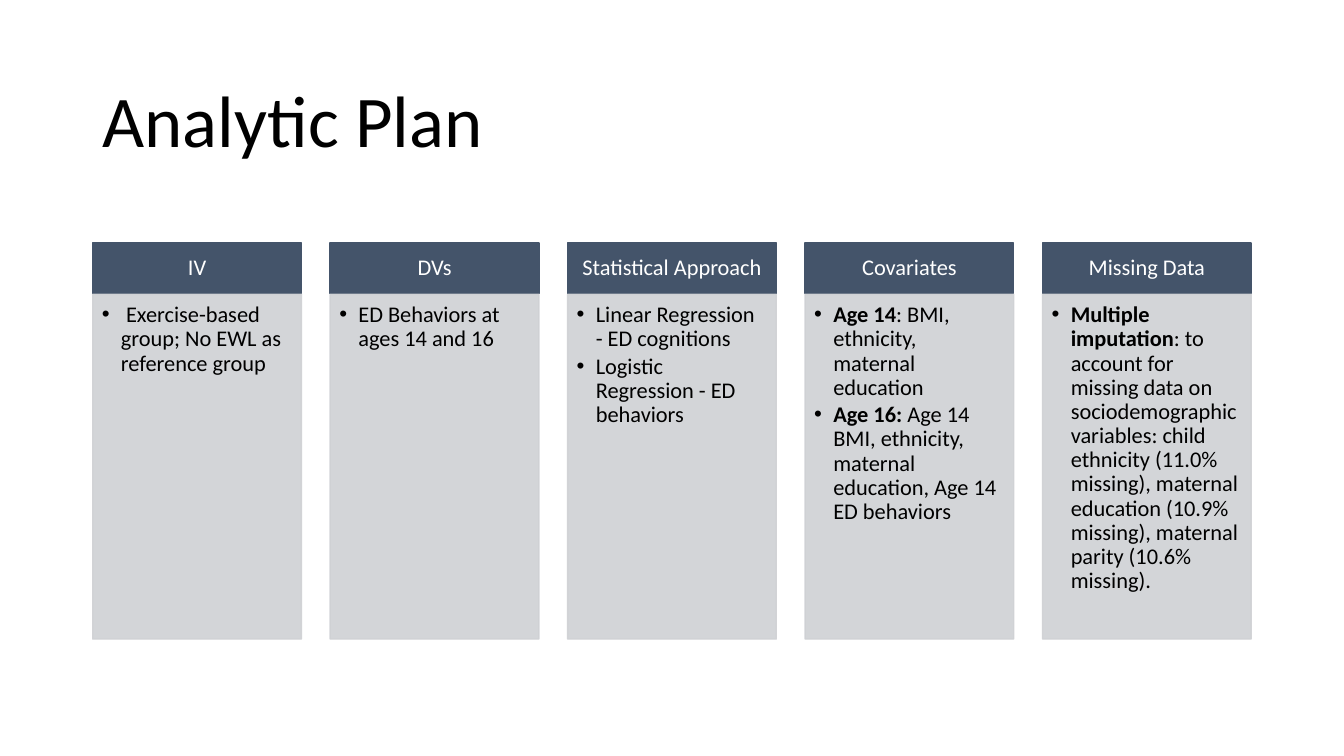
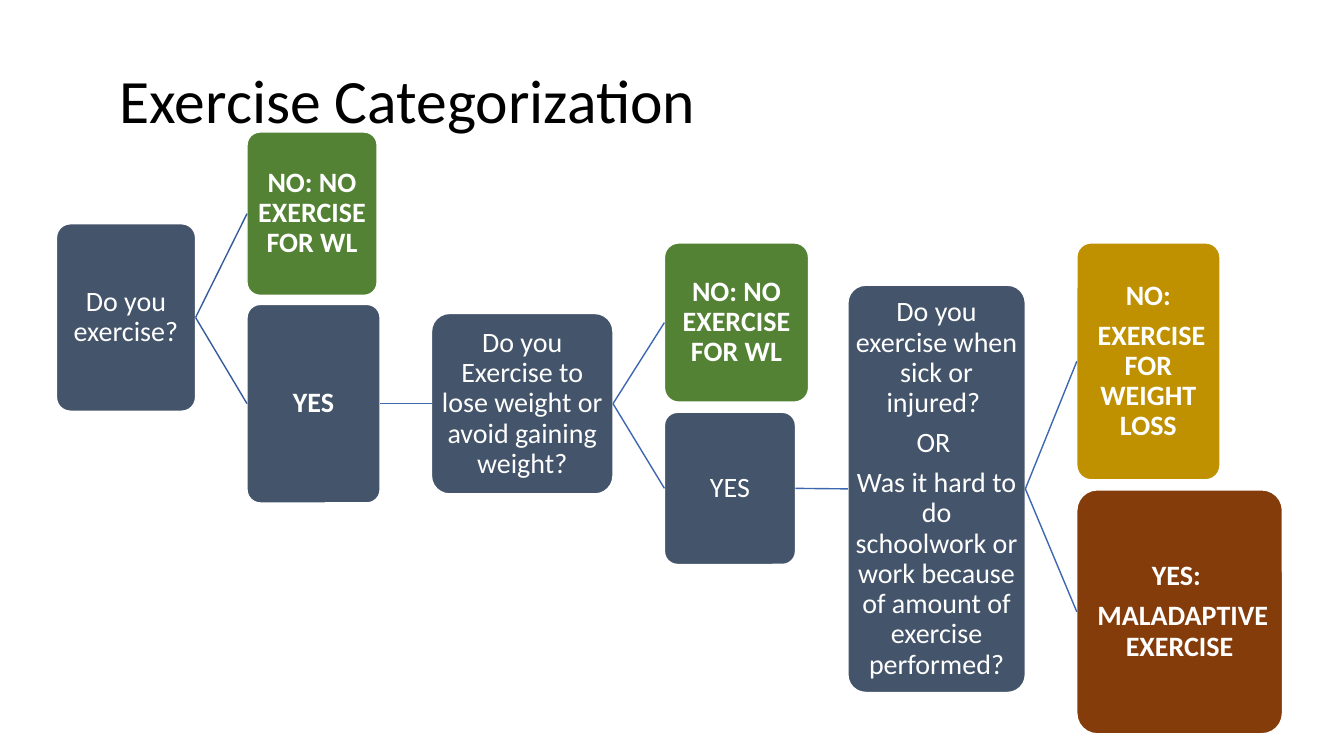
from dataclasses import dataclass
from lxml.etree import SubElement as Sub
from pptx import Presentation
from pptx.dml.color import RGBColor as RGB
from pptx.enum.shapes import MSO_CONNECTOR as Link, MSO_SHAPE as Shape
from pptx.enum.text import MSO_ANCHOR as Anchor, PP_ALIGN as Align
from pptx.oxml.ns import qn
from pptx.util import Inches, Pt


@dataclass(frozen=True)
class Theme:
    font: str = "Calibri"
    ink: str = "000000"
    white: str = "FFFFFF"
    slate: str = "44546A"
    pale: str = "CFD1D4"
    green: str = "548235"
    gold: str = "BF9000"
    rust: str = "843C0B"
    deep: str = "365B9D"
    blue: str = "3E67B2"
    wide: float = 52
    head: float = 44
    node: float = 20
    plan: float = 16
    lead: float = 0.9
    edge: float = 1


T = Theme()

PLAN = [
    ("IV", [[(" Exercise-based group; No EWL as reference group", False)]]),
    ("DVs", [[("ED Behaviors at ages 14 and 16", False)]]),
    ("Statistical Approach", [
        [("Linear Regression - ED cognitions", False)],
        [("Logistic Regression - ED behaviors", False)],
    ]),
    ("Covariates", [
        [("Age 14", True), (": BMI, ethnicity, maternal education", False)],
        [("Age 16: ", True),
         ("Age 14 BMI, ethnicity, maternal education, Age 14 ED behaviors", False)],
    ]),
    ("Missing Data", [
        [("Multiple imputation", True),
         (": to account for missing data on sociodemographic variables: "
          "child ethnicity (11.0% missing), maternal education (10.9% missing), "
          "maternal parity (10.6% missing).", False)],
    ]),
]

NODES = {
    "start": ((0.56, 2.22, 1.38, 1.86), T.slate, False, ["Do you exercise?"]),
    "none": ((2.45, 1.31, 1.29, 1.62), T.green, True, ["NO: NO EXERCISE FOR WL"]),
    "some": ((2.45, 3.02, 1.32, 1.97), T.slate, True, ["YES"]),
    "weight": ((4.28, 3.11, 1.8, 1.79), T.slate, False,
               ["Do you Exercise to lose weight or avoid gaining weight?"]),
    "other": ((6.59, 2.41, 1.43, 1.58), T.green, True, ["NO: NO EXERCISE FOR WL"]),
    "loss": ((6.59, 4.09, 1.3, 1.51), T.slate, False, ["YES"]),
    "harm": ((8.41, 2.83, 1.76, 4.04), T.slate, False, [
        "Do you exercise when sick or injured? ",
        "OR ",
        "Was it hard to do schoolwork or work because of amount of exercise performed?",
    ]),
    "mild": ((10.68, 2.41, 1.42, 2.35), T.gold, True,
             ["NO:", " EXERCISE FOR WEIGHT LOSS"]),
    "severe": ((10.68, 4.86, 2.04, 2.42), T.rust, True,
               ["YES: ", " MALADAPTIVE EXERCISE"]),
}

LINKS = [
    ("start", "none", T.deep), ("start", "some", T.deep),
    ("some", "weight", T.blue),
    ("weight", "other", T.blue), ("weight", "loss", T.blue),
    ("loss", "harm", T.blue),
    ("harm", "mild", T.blue), ("harm", "severe", T.blue),
]


def paint(form, tint):
    form.solid()
    form.fore_color.rgb = RGB.from_string(tint)


def fade(shape, share):
    for tint in shape._element.spPr.iter(qn("a:srgbClr")):
        Sub(tint, qn("a:alpha"), val=str(share * 1000))


def dot(para):
    props = para._p.get_or_add_pPr()
    props.set("marL", str(Inches(0.19)))
    props.set("indent", str(-Inches(0.19)))
    Sub(props, qn("a:buFont"), typeface="Arial")
    Sub(props, qn("a:buChar"), char="•")


def write(shape, paras, size, tint, pad, anchor=Anchor.MIDDLE,
          align=Align.CENTER, after=0.35, dots=False):
    frame = shape.text_frame
    frame.word_wrap = True
    frame.vertical_anchor = anchor
    (frame.margin_left, frame.margin_top,
     frame.margin_right, frame.margin_bottom) = map(Inches, pad)
    for i, runs in enumerate(paras):
        para = frame.add_paragraph() if i else frame.paragraphs[0]
        para.alignment = align
        para.line_spacing = T.lead
        para.space_after = Pt(size * after)
        if dots:
            dot(para)
        for text, bold in runs:
            run = para.add_run()
            run.text = text
            font = run.font
            font.name, font.size, font.bold = T.font, Pt(size), bold
            font.color.rgb = RGB.from_string(tint)


def block(slide, kind, spot, fill, edge):
    shape = slide.shapes.add_shape(kind, *map(Inches, spot))
    shape.shadow.inherit = False
    paint(shape.fill, fill)
    paint(shape.line.fill, edge)
    shape.line.width = Pt(T.edge)
    return shape


def title(slide, text, spot, size):
    box = slide.shapes.add_textbox(*map(Inches, spot))
    write(box, [[(text, False)]], size, T.ink, (0.1, 0.05, 0.1, 0.05),
          align=Align.LEFT, after=0)


def column(slide, left, wide, name, paras):
    head = block(slide, Shape.RECTANGLE, (left, 2.41, wide, 0.5), T.slate, T.slate)
    write(head, [[(name, False)]], T.plan, T.white, (0.12, 0.07, 0.12, 0.07))
    body = block(slide, Shape.RECTANGLE, (left, 2.92, wide, 3.42), T.pale, T.pale)
    fade(body, 90)
    write(body, paras, T.plan, T.ink, (0.09, 0.09, 0.12, 0.14),
          Anchor.TOP, Align.LEFT, 0.15, True)


def node(slide, spot, fill, bold, lines):
    shape = block(slide, Shape.ROUNDED_RECTANGLE, spot, fill, T.white)
    shape.adjustments[0] = 0.1
    write(shape, [[(line, bold)] for line in lines], T.node, T.white, (0.01,) * 4)
    return shape


def join(slide, start, end, tint):
    line = slide.shapes.add_connector(Link.STRAIGHT, 0, 0, 0, 0)
    line.begin_connect(start, 3)
    line.end_connect(end, 1)
    paint(line.line.fill, tint)
    line.line.width = Pt(T.edge)
    Sub(line._element.spPr, qn("a:effectLst"))


def plan(slide):
    title(slide, "Analytic Plan", (0.92, 0.61, 11.5, 1.24), T.wide)
    left, span, wide = 0.92, 11.49, 2.07
    step = (span - wide) / (len(PLAN) - 1)
    for i, (name, paras) in enumerate(PLAN):
        column(slide, left + i * step, wide, name, paras)


def tree(slide):
    nodes = {key: node(slide, *item) for key, item in NODES.items()}
    for start, end, tint in LINKS:
        join(slide, nodes[start], nodes[end], tint)
    title(slide, "Exercise Categorization", (1.09, 0.3, 11.5, 1.45), T.head)


def main():
    deck = Presentation()
    deck.slide_width, deck.slide_height = Inches(13.33), Inches(7.5)
    for draw in (plan, tree):
        draw(deck.slides.add_slide(deck.slide_layouts[6]))
    deck.save("out.pptx")


if __name__ == "__main__":
    main()
